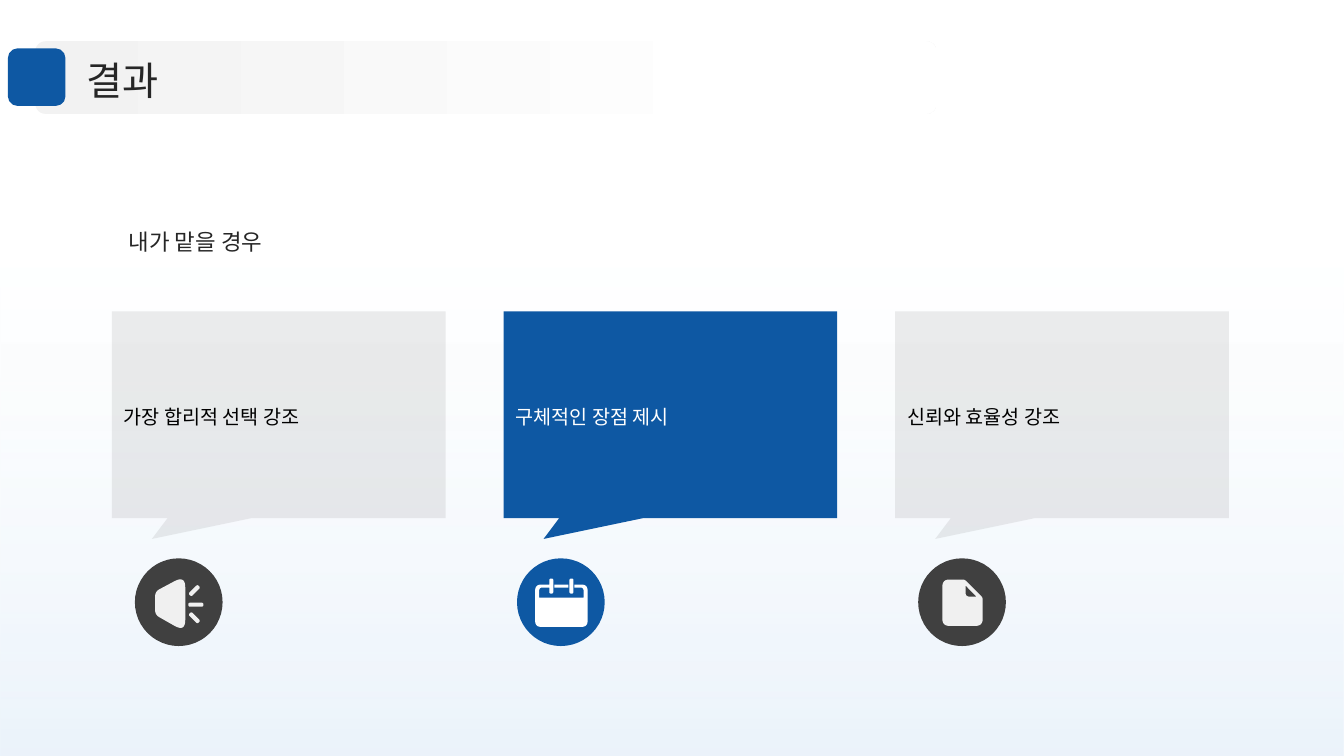
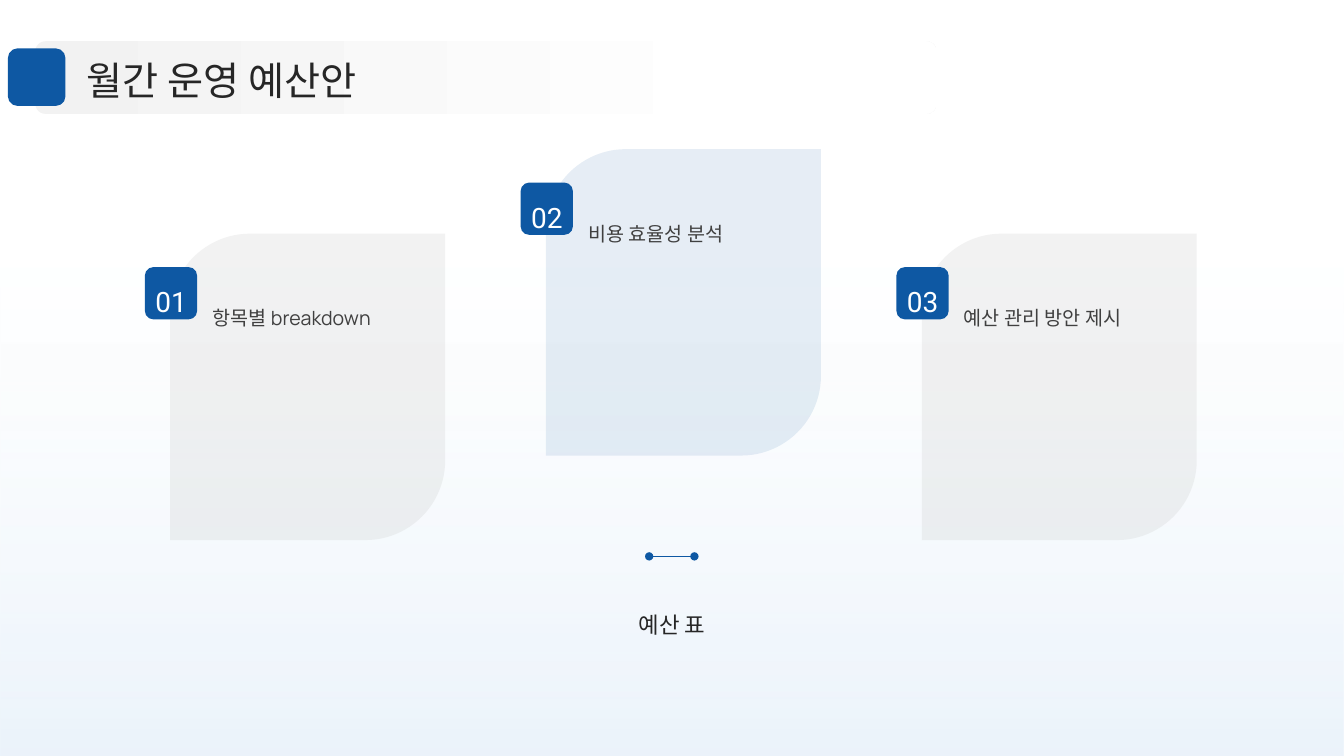
import dataclasses

import lxml.etree
import pptx
import pptx.dml.color
import pptx.enum.shapes
import pptx.enum.text
import pptx.oxml.ns
import pptx.util

Cm = pptx.util.Cm
Kind = pptx.enum.shapes.MSO_SHAPE
Align = pptx.enum.text.PP_ALIGN
Anchor = pptx.enum.text.MSO_ANCHOR
qn = pptx.oxml.ns.qn


@dataclasses.dataclass(frozen=True)
class Theme:
    blue: str = "0E58A3"
    white: str = "FFFFFF"
    black: str = "000000"
    ink: str = "262626"
    dark: str = "404040"
    gray: str = "808080"
    silver: str = "BFBFBF"
    pale: str = "F0F0F0"
    mist: str = "F2F2F2"
    sky: str = "CFE3F5"
    font: str = "Manrope"
    digit: str = "Roboto"
    title: int = 28
    number: int = 20
    head: int = 16
    body: int = 14


def rgb(code):
    return pptx.dml.color.RGBColor.from_string(code)


def bend(points):
    result = []
    count = len(points)
    for i, (x, y, *rest) in enumerate(points):
        if not rest:
            result.append((x, y))
            continue
        ends = []
        for px, py, *_ in (points[i - 1], points[(i + 1) % count]):
            part = rest[0] / ((px - x) ** 2 + (py - y) ** 2) ** 0.5
            ends.append((x + (px - x) * part, y + (py - y) * part))
        (ax, ay), (bx, by) = ends
        for step in range(9):
            t = step / 8
            a, m, b = (1 - t) ** 2, 2 * t * (1 - t), t * t
            result.append((a * ax + m * x + b * bx, a * ay + m * y + b * by))
    return result


def pill(left, top, right, base, r):
    return [(left, top, r), (right, top, r), (right, base, r), (left, base, r)]


GRID = 87
HORN = [
    [(20, 33, 5), (50, 17, 12), (50, 73, 12), (20, 56, 5)],
    [(53, 35, 2), (62, 26, 2), (65, 29, 2), (56, 38, 2)],
    pill(53, 44, 68, 48, 2),
    [(53, 56, 2), (62, 65, 2), (65, 62, 2), (56, 53, 2)],
]
DATES = [
    [(37, 26), (51, 26), (51, 29), (37, 29)],
    [(32, 26), (32, 29), (22, 29, 3), (22, 39), (66, 39), (66, 29, 3),
     (57, 29), (57, 26), (70, 26, 6), (70, 68, 6), (18, 68, 6), (18, 26, 6)],
    pill(32, 20, 36, 35, 2),
    pill(52, 20, 56, 35, 2),
]
PAPER = [
    [(24, 21, 7), (46, 21, 2), (64, 39, 2), (64, 67, 7), (24, 67, 7)],
    [(47, 27), (47, 38, 4), (58, 38)],
]


class Deck:
    def __init__(self, theme):
        self.theme = theme
        self.file = pptx.Presentation()
        self.file.slide_width = Cm(33.87)
        self.file.slide_height = Cm(19.05)
        self.slide = None

    def page(self, title):
        t = self.theme
        self.slide = self.file.slides.add_slide(self.file.slide_layouts[5])
        wash = self.shape(Kind.RECTANGLE, 0, 0, 33.87, 19.05)
        self.fade(wash, 90, (t.sky, 0), (t.white, 0.68))
        self.clear(wash, 41, 20)
        band = self.shape(Kind.ROUNDED_RECTANGLE, 0.89, 1.04, 22.71, 1.83, adj=[0.14])
        self.fade(band, 0, (t.mist, 0), (t.white, 0.8))
        self.shape(Kind.ROUNDED_RECTANGLE, 0.2, 1.22, 1.45, 1.45, t.blue)
        name = self.slide.shapes.title
        name.left, name.top, name.width, name.height = map(Cm, (2.18, 1.3, 29.64, 1.3))
        self.label(name, title, t.title, t.ink, 1.1)
        name.element.getparent().append(name.element)

    def shape(self, kind, x, y, w, h, color=None, alpha=None, adj=()):
        item = self.slide.shapes.add_shape(kind, Cm(x), Cm(y), Cm(w), Cm(h))
        for i, value in enumerate(adj):
            item.adjustments[i] = value
        return self.paint(item, color, alpha)

    def paint(self, item, color, alpha=None):
        item.shadow.inherit = False
        item.line.fill.background()
        if color:
            item.fill.solid()
            item.fill.fore_color.rgb = rgb(color)
        if alpha:
            self.clear(item, alpha)
        return item

    def fade(self, item, angle, *stops):
        item.fill.gradient()
        item.fill.gradient_angle = angle
        for stop, (color, place) in zip(item.fill.gradient_stops, stops):
            stop.color.rgb = rgb(color)
            stop.position = place

    def clear(self, item, *alphas):
        tones = list(item.element.spPr.iter(qn("a:srgbClr")))
        for tone, alpha in zip(tones, alphas):
            lxml.etree.SubElement(tone, qn("a:alpha")).set("val", str(alpha * 1000))

    def label(self, item, text, size, color, space, align=Align.LEFT,
              anchor=Anchor.MIDDLE, pad=(0, 0, 0, 0), font=None):
        frame = item.text_frame
        frame.text = text
        frame.word_wrap = True
        frame.auto_size = pptx.enum.text.MSO_AUTO_SIZE.NONE
        frame.vertical_anchor = anchor
        (frame.margin_left, frame.margin_top,
         frame.margin_right, frame.margin_bottom) = map(Cm, pad)
        line = frame.paragraphs[0]
        line.alignment = align
        line.line_spacing = space
        line.font.name = font or self.theme.font
        line.font.size = pptx.util.Pt(size)
        line.font.color.rgb = rgb(color)

    def text(self, x, y, w, h, *words, **style):
        box = self.slide.shapes.add_textbox(Cm(x), Cm(y), Cm(w), Cm(h))
        self.label(box, *words, **style)

    def icon(self, x, y, loops, disc, color):
        size = 2.21
        self.shape(Kind.OVAL, x, y, size, size, disc)
        unit = Cm(size) / GRID
        pen = None
        for loop in loops:
            dots = [(Cm(x) + a * unit, Cm(y) + b * unit) for a, b in bend(loop)]
            if pen:
                pen.move_to(*dots[0])
            else:
                pen = self.slide.shapes.build_freeform(*dots[0])
            pen.add_line_segments(dots[1:], close=True)
        self.paint(pen.convert_to_shape(), color)

    def link(self, x, y, end, color):
        line = self.slide.shapes.add_connector(
            pptx.enum.shapes.MSO_CONNECTOR.STRAIGHT, Cm(x), Cm(y), Cm(end), Cm(y))
        line.line.color.rgb = rgb(color)
        line.line.width = pptx.util.Pt(1)
        props = line.element.spPr
        for tag in ("a:headEnd", "a:tailEnd"):
            lxml.etree.SubElement(props.find(qn("a:ln")), qn(tag)).set("type", "oval")
        lxml.etree.SubElement(props, qn("a:effectLst"))


def result(deck):
    t = deck.theme
    deck.page("결과")
    deck.text(3.25, 4.04, 27.36, 2.39, "내가 맡을 경우", t.head, t.ink, 1.5,
              anchor=Anchor.BOTTOM)
    plain = (t.gray, 15, t.black, t.dark, t.pale)
    strong = (t.blue, None, t.white, t.blue, t.white)
    cards = [
        ("가장 합리적 선택 강조", 3.4, HORN, plain),
        ("구체적인 장점 제시", 13.03, DATES, strong),
        ("신뢰와 효율성 강조", 23.14, PAPER, plain),
    ]
    for i, (words, spot, loops, look) in enumerate(cards):
        fill, alpha, ink, disc, mark = look
        card = deck.shape(Kind.RECTANGULAR_CALLOUT, 2.82 + 9.87 * i, 7.85, 8.41, 5.21,
                          fill, alpha, (-0.38, 0.6))
        deck.label(card, words, t.body, ink, 1.5, pad=(0.3, 0, 0.3, 0.2))
        deck.icon(spot, 14.07, loops, disc, mark)


def budget(deck):
    t = deck.theme
    deck.page("월간 운영 예산안")
    cards = [
        ("항목별 breakdown", 5.89, t.silver, 20),
        ("비용 효율성 분석", 3.76, t.blue, 10),
        ("예산 관리 방안 제시", 5.89, t.silver, 20),
    ]
    pad = (0.25, 0.13, 0.25, 0.13)
    for i, (words, y, fill, alpha) in enumerate(cards):
        x = 4.29 + 9.47 * i
        deck.shape(Kind.ROUND_2_DIAG_RECTANGLE, x, y, 6.93, 7.72, fill, alpha, (0.29, 0))
        deck.text(x + 0.81, y + 1.52, 5.31, 5.87, words, t.body, t.dark, 1.3,
                  anchor=Anchor.TOP, pad=pad)
        deck.shape(Kind.ROUNDED_RECTANGLE, x - 0.64, y + 0.84, 1.32, 1.32, t.blue)
        deck.text(x - 0.85, y + 0.99, 1.75, 1.02, f"{i + 1:02}", t.number, t.white, 1.5,
                  align=Align.CENTER, pad=pad, font=t.digit)
    deck.link(16.36, 14.02, 17.5, t.blue)
    deck.text(1.88, 14.48, 30.12, 2.29, "예산 표", t.head, t.ink, 1.3,
              align=Align.CENTER, pad=(0.18, 0.1, 0.18, 0.1))


def main():
    deck = Deck(Theme())
    result(deck)
    budget(deck)
    deck.file.save("out.pptx")


if __name__ == "__main__":
    main()
